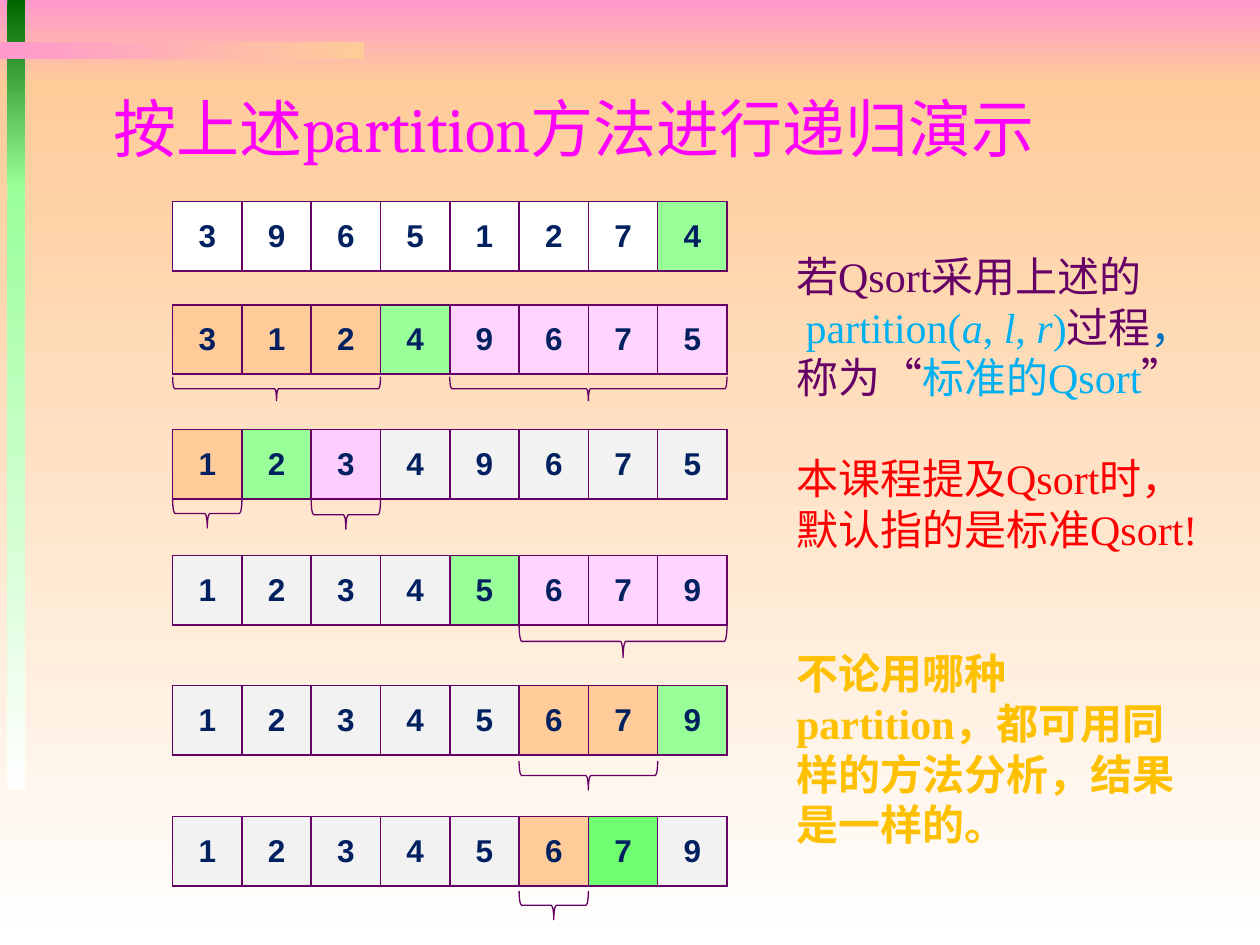
"""Build a slide that steps through a recursive quicksort partition."""
from dataclasses import dataclass

from pptx import Presentation
from pptx.dml.color import RGBColor
from pptx.enum.shapes import MSO_SHAPE
from pptx.enum.text import MSO_ANCHOR, PP_ALIGN
from pptx.oxml import parse_xml
from pptx.oxml.ns import nsdecls
from pptx.util import Inches, Pt


@dataclass(frozen=True)
class Theme:
    pink: str = "FF99CC"
    peach: str = "FFCC99"
    white: str = "FFFFFF"
    forest: str = "006600"
    green: str = "99FF99"
    bright_green: str = "70FF70"
    lilac: str = "FFD5FF"
    deep_lilac: str = "FFCCFF"
    grey: str = "F2F2F2"
    purple: str = "660066"
    navy: str = "002060"
    magenta: str = "FF00FF"
    sky: str = "00B0F0"
    blue: str = "0070C0"
    red: str = "FF0000"
    gold: str = "FFC000"
    title_size: int = 36
    body_size: int = 24
    cell_size: int = 18


theme = Theme()


def write(paragraph, text, font="Times New Roman", size=theme.body_size,
          color=theme.purple, bold=False, italic=False):
    """Append one formatted run to the paragraph."""
    run = paragraph.add_run()
    run.text = text
    run.font.name = font
    run.font.size = Pt(size)
    run.font.color.rgb = RGBColor.from_string(color)
    run.font.bold = bold
    run.font.italic = italic


def add_text_frame(slide, left, top, width, height, anchor=MSO_ANCHOR.TOP):
    """Add a wrapping text box and return its text frame."""
    box = slide.shapes.add_textbox(Inches(left), Inches(top), Inches(width), Inches(height))
    box.text_frame.word_wrap = True
    box.text_frame.vertical_anchor = anchor
    return box.text_frame


presentation = Presentation()
presentation.slide_width = Inches(10)
presentation.slide_height = Inches(7.5)
slide = presentation.slides.add_slide(presentation.slide_layouts[6])

gradient_bands = [
    (0, 0, 10, 0.67, theme.pink, theme.peach, 270),
    (0, 0.67, 10, 6.83, theme.peach, theme.white, 270),
    (0.06, 0, 0.14, 1.48, theme.forest, theme.green, 270),
    (0.06, 1.46, 0.14, 4.81, theme.green, theme.white, 270),
    (0, 0.33, 2.89, 0.14, theme.pink, theme.peach, 0),
]
for left, top, width, height, start, end, angle in gradient_bands:
    band = slide.shapes.add_shape(
        MSO_SHAPE.RECTANGLE, Inches(left), Inches(top), Inches(width), Inches(height))
    band.shadow.inherit = False
    band.line.fill.background()
    band.fill.gradient()
    band.fill.gradient_angle = angle
    for stop, color in zip(band.fill.gradient_stops, (start, end)):
        stop.color.rgb = RGBColor.from_string(color)

title = add_text_frame(slide, 0.8, 0.56, 8.5, 0.9, MSO_ANCHOR.MIDDLE).paragraphs[0]
for text, font in [("按上述", "Roboto Condensed"), ("partition", "Cambria"),
                   ("方法进行递归演示", "Roboto Condensed")]:
    write(title, text, font=font, size=theme.title_size, color=theme.magenta)

cell_side = 0.55
array_left = 1.37
cell_fills = {"W": theme.white, "P": theme.green, "Q": theme.bright_green,
              "L": theme.peach, "R": theme.lilac, "S": theme.deep_lilac, "-": theme.grey}
# Each brace is (first column, column span, gap below the array, depth).
array_steps = [
    (1.6, "39651274", "WWWWWWWP", []),
    (2.42, "31249675", "LLLPRRRR", [(0, 3, 0.02, 0.19), (4, 4, 0.02, 0.19)]),
    (3.41, "12349675", "LPS-----", [(0, 1, 0, 0.23), (2, 1, 0.01, 0.23)]),
    (4.41, "12345679", "----PRRR", [(5, 3, 0, 0.26)]),
    (5.44, "12345679", "-----LLP", [(5, 2, 0.05, 0.23)]),
    (6.48, "12345679", "-----LQ-", [(5, 1, 0.04, 0.23)]),
]
for top, digits, fills, braces in array_steps:
    table = slide.shapes.add_table(
        1, len(digits), Inches(array_left), Inches(top),
        Inches(cell_side * len(digits)), Inches(cell_side)).table
    table.first_row = False
    table.horz_banding = False
    for cell, digit, fill in zip(table.rows[0].cells, digits, fills):
        cell.vertical_anchor = MSO_ANCHOR.MIDDLE
        for side in ("lnL", "lnR", "lnT", "lnB"):
            cell._tc.get_or_add_tcPr().append(parse_xml(
                f'<a:{side} {nsdecls("a")} w="{Pt(1)}"><a:solidFill>'
                f'<a:srgbClr val="{theme.purple}"/></a:solidFill></a:{side}>'))
        cell.fill.solid()
        cell.fill.fore_color.rgb = RGBColor.from_string(cell_fills[fill])
        paragraph = cell.text_frame.paragraphs[0]
        paragraph.alignment = PP_ALIGN.CENTER
        write(paragraph, digit, font="Arial", size=theme.cell_size,
              color=theme.navy, bold=True)

    for first, span, gap, depth in braces:
        length = span * cell_side
        center_x = array_left + first * cell_side + length / 2
        center_y = top + cell_side + gap + depth / 2
        brace = slide.shapes.add_shape(
            MSO_SHAPE.LEFT_BRACE, Inches(center_x - depth / 2),
            Inches(center_y - length / 2), Inches(depth), Inches(length))
        brace.rotation = 270
        brace.shadow.inherit = False
        brace.fill.background()
        brace.line.color.rgb = RGBColor.from_string(theme.purple)
        brace.line.width = Pt(0.75)

notes_frame = add_text_frame(slide, 6.22, 1.94, 3.45, 2.52)
usage = notes_frame.paragraphs[0]
write(usage, "若Qsort采用上述的")
usage.add_line_break()
write(usage, " ")
for text, italic in [("partition(", False), ("a", True), (", ", False), ("l", True),
                     (", ", False), ("r", True), (")", False)]:
    write(usage, text, color=theme.sky, italic=italic)
write(usage, "过程")
write(usage, "，", color=theme.blue)

naming = notes_frame.add_paragraph()
write(naming, "称为“")
write(naming, "标准的Qsort", color=theme.sky)
write(naming, "”")

convention = notes_frame.add_paragraph()
convention.space_before = Pt(29)
write(convention, "本课程提及Qsort时，", color=theme.red)
write(notes_frame.add_paragraph(), "默认指的是标准Qsort!", color=theme.red)

conclusion = add_text_frame(slide, 6.22, 5.09, 3.3, 1.31).paragraphs[0]
write(conclusion, "不论用哪种partition，都可用同样的方法分析，结果是一样的。",
      color=theme.gold, bold=True)

presentation.save("out.pptx")
